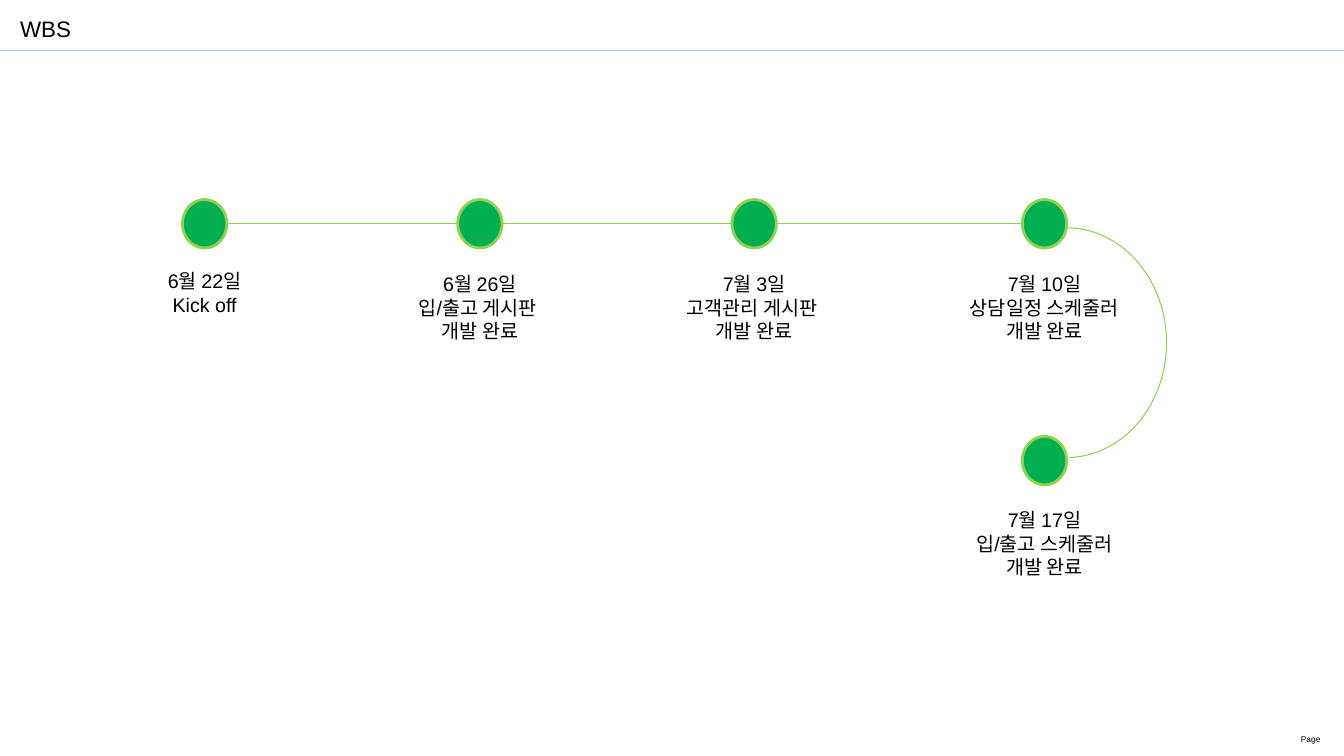
from dataclasses import dataclass

from lxml import etree
from pptx import Presentation
from pptx.dml.color import RGBColor
from pptx.enum import shapes, text
from pptx.oxml import ns
from pptx.slide import Slide
from pptx.text.text import TextFrame
from pptx.util import Inches, Pt

HUES = {"ink": "000000", "dot": "00B050", "edge": "92D050", "rule": "B3C6E7"}
DOT_W, DOT_H = 0.44, 0.48
ROW = 1.98
LEFT, RIGHT = 1.81, 10.14


@dataclass
class Step:
    """A milestone: dot corner, label size and offset, and label lines."""
    x: float
    y: float
    lines: list[str]
    wide: float = 2.4
    high: float = 0.81
    drop: float = 0.67


STEPS = [
    Step(LEFT, ROW, ["6월 22일", "Kick off"], 1.06, 0.57, 0.64),
    Step(4.54, ROW, ["6월 26일", "입/출고 게시판 ", "개발 완료"]),
    Step(7.26, ROW, ["7월 3일", "고객관리 게시판 ", "개발 완료"]),
    Step(RIGHT, ROW, ["7월 10일", "상담일정 스케줄러", "개발 완료"]),
    Step(RIGHT, 4.33, ["7월 17일", "입/출고 스케줄러", "개발 완료"], drop=0.66),
]


def color(name: str) -> RGBColor:
    """Look up a named colour."""
    return RGBColor.from_string(HUES[name])


def write(frame: TextFrame, lines: list[str], size: float,
          align: text.PP_ALIGN) -> None:
    """Fill a frame with one styled paragraph per line."""
    frame.word_wrap = True
    frame.text = "\n".join(lines)
    for para in frame.paragraphs:
        para.alignment = align
        para.font.name = "Arial"
        para.font.size = Pt(size)
        para.font.color.rgb = color("ink")


def draw_line(slide: Slide, x: float, end: float, y: float, hue: str) -> None:
    """Draw a thin level line without a shadow."""
    line = slide.shapes.add_connector(
        shapes.MSO_CONNECTOR.STRAIGHT,
        Inches(x), Inches(y), Inches(end), Inches(y))
    line.line.color.rgb = color(hue)
    line.line.width = Pt(0.75)
    etree.SubElement(line._element.spPr, ns.qn("a:effectLst"))


def draw_step(slide: Slide, step: Step) -> None:
    """Draw a milestone dot with its label centred below."""
    dot = slide.shapes.add_shape(
        shapes.MSO_SHAPE.OVAL, Inches(step.x), Inches(step.y),
        Inches(DOT_W), Inches(DOT_H))
    dot.shadow.inherit = False
    dot.fill.solid()
    dot.fill.fore_color.rgb = color("dot")
    dot.line.color.rgb = color("edge")
    dot.line.width = Pt(2)
    box = slide.shapes.add_textbox(
        Inches(step.x + (DOT_W - step.wide) / 2), Inches(step.y + step.drop),
        Inches(step.wide), Inches(step.high))
    write(box.text_frame, step.lines, 14, text.PP_ALIGN.CENTER)
    box.text_frame.auto_size = text.MSO_AUTO_SIZE.SHAPE_TO_FIT_TEXT


def draw_arc(slide: Slide) -> None:
    """Draw the curve from the fourth dot down to the last."""
    arc = slide.shapes.add_shape(
        shapes.MSO_SHAPE.ARC, Inches(9.58), Inches(2.26),
        Inches(1.99), Inches(2.28))
    arc.adjustments[0] = 162.36
    arc.adjustments[1] = 53.02
    arc.shadow.inherit = False
    arc.fill.background()
    arc.line.color.rgb = color("edge")
    arc.line.width = Pt(0.75)


def draw_title(slide: Slide) -> None:
    """Place and style the slide title."""
    title = slide.shapes.title
    title.left, title.top = Inches(0.1), Inches(0.11)
    title.width, title.height = Inches(9.22), Inches(0.38)
    write(title.text_frame, ["WBS"], 16, text.PP_ALIGN.LEFT)
    title.text_frame.vertical_anchor = text.MSO_ANCHOR.MIDDLE
    title.text_frame.auto_size = text.MSO_AUTO_SIZE.NONE
    title.text_frame.paragraphs[0].line_spacing = 0.9


def draw_page(slide: Slide) -> None:
    """Place the page mark in the lower right corner."""
    box = slide.shapes.add_textbox(
        Inches(12.21), Inches(7.24), Inches(1.03), Inches(0.18))
    frame = box.text_frame
    write(frame, ["Page "], 6, text.PP_ALIGN.RIGHT)
    frame.vertical_anchor = text.MSO_ANCHOR.MIDDLE
    frame.margin_left = frame.margin_right = Inches(0.12)
    frame.margin_top = frame.margin_bottom = Inches(0.06)


def main() -> None:
    """Build and save the slide."""
    deck = Presentation()
    deck.slide_width, deck.slide_height = Inches(13.33), Inches(7.5)
    slide = deck.slides.add_slide(deck.slide_layouts[5])
    draw_line(slide, 0, 13.33, 0.5, "rule")
    draw_page(slide)
    draw_line(slide, LEFT + DOT_W, RIGHT, ROW + DOT_H / 2, "edge")
    draw_title(slide)
    for step in STEPS:
        draw_step(slide, step)
    draw_arc(slide)
    deck.save("out.pptx")


if __name__ == "__main__":
    main()
